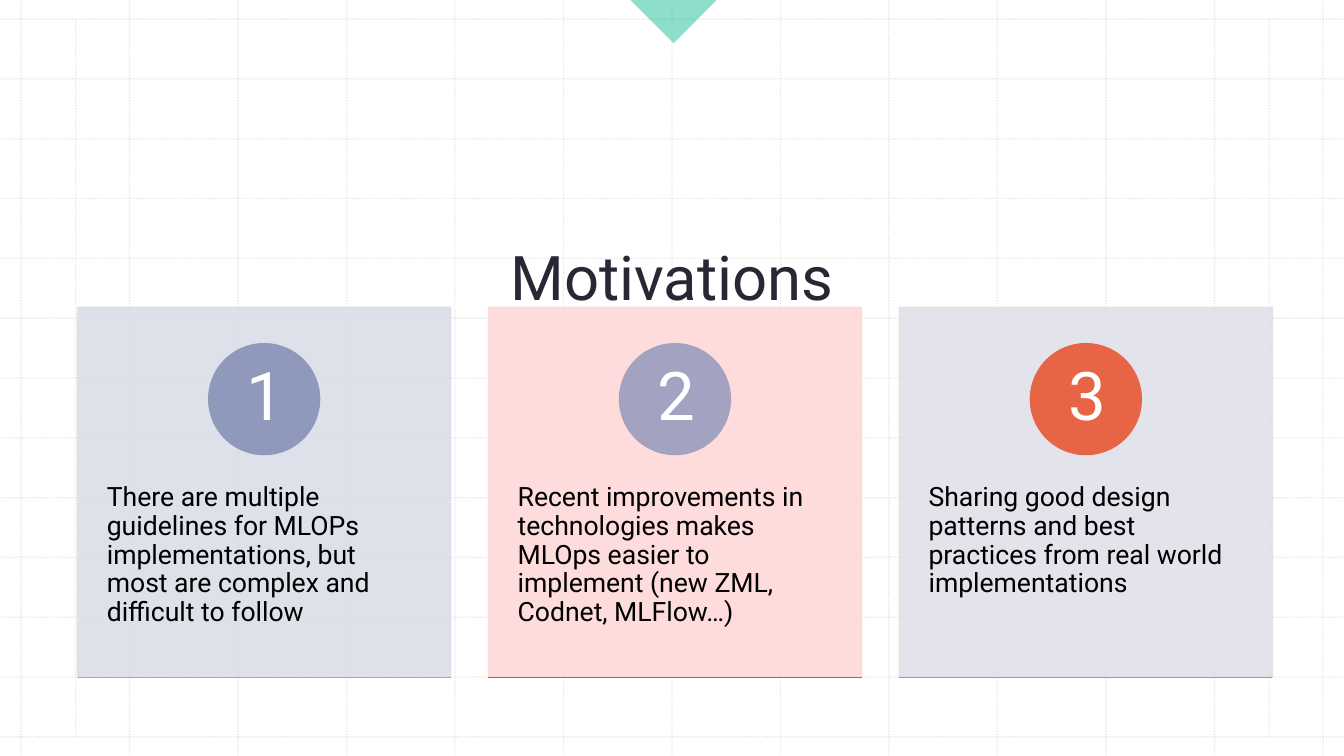
from lxml import etree
from pptx import Presentation
from pptx.dml.color import RGBColor
from pptx.enum.dml import MSO_LINE
from pptx.enum.shapes import MSO_CONNECTOR, MSO_SHAPE
from pptx.enum.text import MSO_ANCHOR, PP_ALIGN
from pptx.oxml.ns import qn
from pptx.util import Inches, Pt

RECT = MSO_SHAPE.RECTANGLE
OVAL = MSO_SHAPE.OVAL
CORNER = MSO_SHAPE.RIGHT_TRIANGLE
LINE = MSO_CONNECTOR.STRAIGHT
DOTS = MSO_LINE.ROUND_DOT
LEFT, CENTER = PP_ALIGN.LEFT, PP_ALIGN.CENTER
TOP, MIDDLE, BOTTOM = MSO_ANCHOR.TOP, MSO_ANCHOR.MIDDLE, MSO_ANCHOR.BOTTOM

FONT = "Roboto"
WIDE, HIGH = 13.33, 7.5
COLORS = {
    "white": "FFFFFF", "black": "000000", "ink": "2A2735",
    "grid": "BCBCBC", "green": "1EBE9B", "mist": "DBDEE7",
    "blush": "FED9D9", "haze": "E0E0E9", "slate": "8F99BB",
    "lilac": "A3A3C1", "orange": "E76445", "coral": "FD8686",
    "violet": "7162FE",
}
CARDS = [
    ("There are multiple guidelines for MLOPs implementations, but most are "
     "complex and difficult to follow", "mist", "slate", "coral"),
    ("Recent improvements in technologies makes MLOps easier to implement "
     "(new ZML, Codnet, MLFlow…)", "blush", "lilac", "violet"),
    ("Sharing good design patterns and best practices from real world "
     "implementations", "haze", "orange", "slate"),
]


def paint(fill, color, alpha=100):
    fill.solid()
    fill.fore_color.rgb = RGBColor.from_string(COLORS[color])
    if alpha < 100:
        tint = fill._xPr.find(qn("a:solidFill"))[0]
        etree.SubElement(tint, qn("a:alpha"), val=str(alpha * 1000))


def add_line(slide, x1, y1, x2, y2, color, alpha=100):
    line = slide.shapes.add_connector(
        LINE, Inches(x1), Inches(y1), Inches(x2), Inches(y2))
    line.line.width = Pt(1)
    paint(line.line.fill, color, alpha)
    etree.SubElement(line._element.spPr, qn("a:effectLst"))
    return line


def add_form(slide, kind, box, color, alpha=100, edge=True):
    form = slide.shapes.add_shape(kind, *map(Inches, box))
    form.shadow.inherit = False
    paint(form.fill, color, alpha)
    if edge:
        form.line.width = Pt(1)
        paint(form.line.fill, color, alpha)
    else:
        form.line.fill.background()
    return form


def add_text(slide, box, text, size, color, align, anchor, pad, space=1.0):
    frame = slide.shapes.add_textbox(*map(Inches, box)).text_frame
    frame.word_wrap = True
    frame.vertical_anchor = anchor
    frame.margin_left = frame.margin_right = Inches(pad[0])
    frame.margin_top = frame.margin_bottom = Inches(pad[1])
    para = frame.paragraphs[0]
    para.alignment = align
    para.line_spacing = space
    run = para.add_run()
    run.text = text
    run.font.name = FONT
    run.font.size = Pt(size)
    run.font.color.rgb = RGBColor.from_string(COLORS[color])


def add_grid(slide):
    left, right, top, base = 0.21, 13.12, 0.19, 7.31
    steps = 12
    ends = [(left + i * (right - left) / steps, 0, HIGH)
            for i in range(steps + 1)]
    ends += [(x, top, base) for x in (0.75, 12.59)]
    for x, y1, y2 in ends:
        add_line(slide, x, y1, x, y2, "grid", 30).line.dash_style = DOTS
    for i in range(steps + 1):
        y = top + i * (base - top) / steps
        add_line(slide, 0, y, WIDE, y, "grid", 30).line.dash_style = DOTS


def add_card(slide, index, text, back, disc, rule):
    x, y, w, h = 0.77 + index * 4.075, 3.05, 3.7, 3.67
    add_form(slide, RECT, (x, y, w, h), back, 90)
    add_text(slide, (x, 4.44, w, 2.2), text, 19, "black",
             LEFT, TOP, (0.29, 0.36), 0.9)
    add_form(slide, OVAL, (x + 1.3, 3.41, 1.1, 1.1), disc)
    add_text(slide, (x + 1.47, 3.57, 0.78, 0.78), str(index + 1), 48,
             "white", CENTER, MIDDLE, (0.09, 0.01), 0.9)
    add_line(slide, x, y + h, x + w, y + h, rule)


def main():
    deck = Presentation()
    deck.slide_width, deck.slide_height = Inches(WIDE), Inches(HIGH)
    slide = deck.slides.add_slide(deck.slide_layouts[6])
    paint(slide.background.fill, "white")
    add_grid(slide)
    mark = add_form(slide, CORNER, (6.37, -0.32, 0.62, 0.62), "green", 50, False)
    mark.rotation = 315
    add_text(slide, (0.76, 0.79, 11.81, 2.36), "Motivations", 44, "ink",
             CENTER, BOTTOM, (0.1, 0.05))
    for index, card in enumerate(CARDS):
        add_card(slide, index, *card)
    deck.save("out.pptx")


if __name__ == "__main__":
    main()
